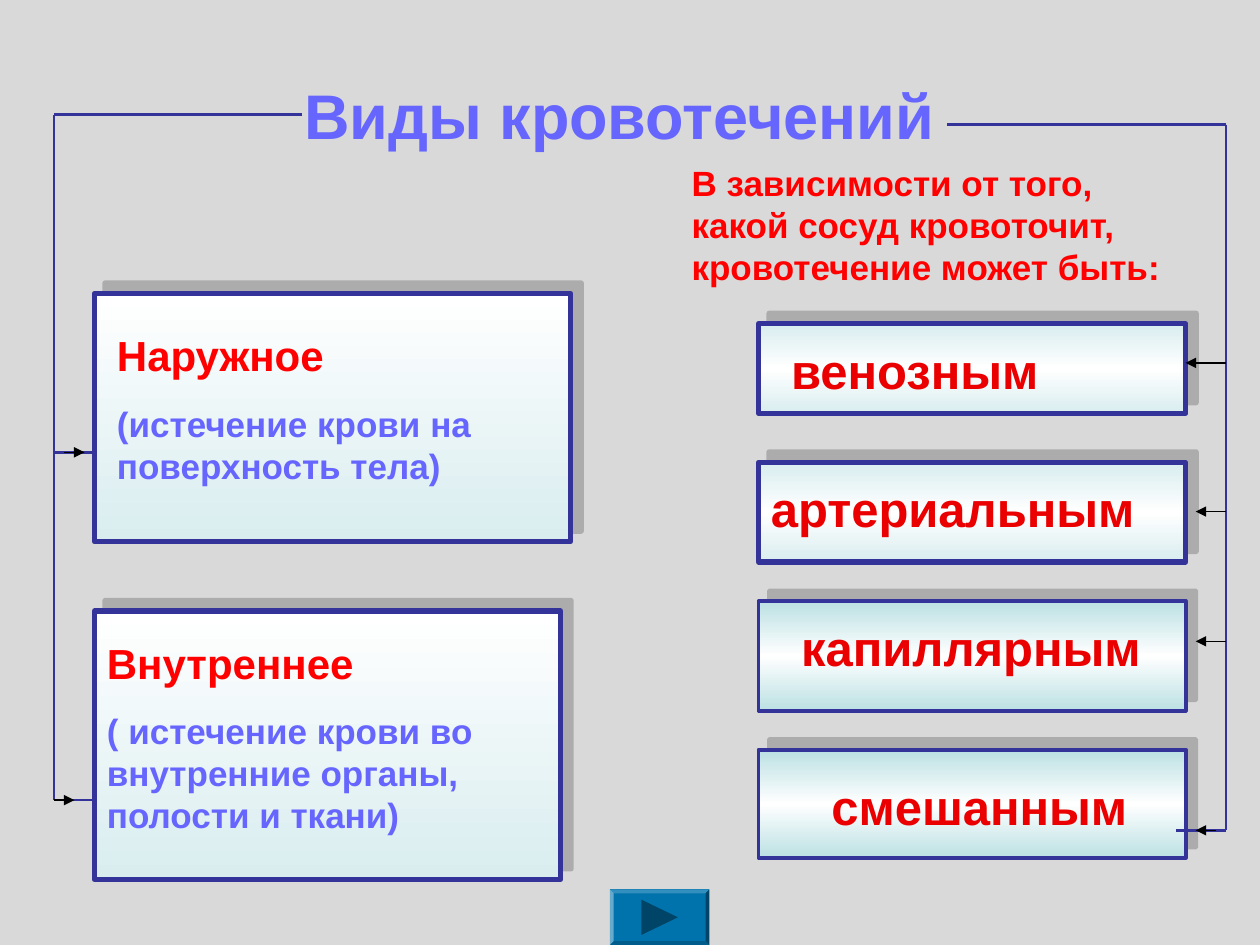
from lxml import etree
from pptx import Presentation, util as u
from pptx.dml.color import RGBColor
from pptx.enum import shapes, text
from pptx.oxml.ns import qn

NAVY, BLUE, RED, DARK_RED = "333399", "6666FF", "FF0000", "EA0000"
PALE, TEAL, WHITE, BLACK = "D9EDEF", "BBE0E3", "FFFFFF", "000000"


def color(value):
    return RGBColor.from_string(value)


def add_xml(parent, tag, **attributes):
    return etree.SubElement(parent, qn(tag), attributes)


class SlideBuilder:
    font = "Arial"

    def __init__(self, slide):
        self.slide = slide

    def background(self, fill):
        self.slide.background.fill.solid()
        self.slide.background.fill.fore_color.rgb = color(fill)

    def text(self, place, lines, align=text.PP_ALIGN.LEFT, anchor=text.MSO_ANCHOR.TOP):
        """Add a bold text box; each line is (wording, size, colour, space before)."""
        box = self.slide.shapes.add_textbox(*map(u.Inches, place))
        frame = box.text_frame
        frame.word_wrap = True
        frame.vertical_anchor = anchor
        for index, (wording, size, fill, before) in enumerate(lines):
            paragraph = frame.add_paragraph() if index else frame.paragraphs[0]
            paragraph.text = wording
            paragraph.alignment = align
            paragraph.space_before = u.Pt(before)
            font = paragraph.font
            font.name, font.size, font.bold = self.font, u.Pt(size), True
            font.color.rgb = color(fill)

    def panel(self, place, gradient, width):
        """Add a rectangle with an even vertical gradient and an offset shadow."""
        shape = self.slide.shapes.add_shape(
            shapes.MSO_SHAPE.RECTANGLE, *map(u.Inches, place))
        shape.fill.gradient()
        shape.fill.gradient_angle = 270
        properties = shape._element.spPr
        stops = properties.find(qn("a:gradFill")).find(qn("a:gsLst"))
        for stop in list(stops):
            stops.remove(stop)
        for index, value in enumerate(gradient):
            position = index * 100000 // (len(gradient) - 1)
            stop = add_xml(stops, "a:gs", pos=str(position))
            add_xml(stop, "a:srgbClr", val=value)
        shape.line.color.rgb = color(NAVY)
        shape.line.width = u.Pt(width)
        shape.shadow.inherit = False
        shadow = add_xml(properties.find(qn("a:effectLst")), "a:outerShdw",
                         dist=str(u.Pt(8.5)), dir="18900000", algn="ctr", rotWithShape="0")
        shade = add_xml(shadow, "a:srgbClr", val="808080")
        add_xml(shade, "a:alpha", val="50000")

    def line(self, start, end, stroke=NAVY, width=1.5, arrow=False):
        connector = self.slide.shapes.add_connector(
            shapes.MSO_CONNECTOR.STRAIGHT, *map(u.Inches, (*start, *end)))
        connector.line.color.rgb = color(stroke)
        connector.line.width = u.Pt(width)
        if arrow:
            add_xml(connector.line._get_or_add_ln(), "a:tailEnd", type="triangle")
        add_xml(connector._element.spPr, "a:effectLst")

    def arrow(self, start, end):
        self.line(start, end, BLACK, 0.75, True)

    def polygon(self, points, fill):
        corners = [tuple(map(u.Inches, point)) for point in points]
        builder = self.slide.shapes.build_freeform(*corners[0])
        builder.add_line_segments(corners[1:], close=True)
        shape = builder.convert_to_shape()
        shape.fill.solid()
        shape.fill.fore_color.rgb = color(fill)
        shape.line.fill.background()
        shape.shadow.inherit = False

    def next_button(self, left, top, right, bottom, bevel=0.03):
        outer = [(left, top), (right, top), (right, bottom), (left, bottom)]
        inner = [(left + bevel, top + bevel), (right - bevel, top + bevel),
                 (right - bevel, bottom - bevel), (left + bevel, bottom - bevel)]
        self.polygon(outer, "0073AC")
        for side, fill in enumerate(("338FBD", "004567", "005C8A", "66ABCD")):
            following = (side + 1) % 4
            self.polygon([outer[side], outer[following], inner[following], inner[side]], fill)
        self.polygon([(5.09, 7.14), (5.38, 7.28), (5.09, 7.42)], "004567")


def main():
    presentation = Presentation()
    presentation.slide_width, presentation.slide_height = u.Inches(10), u.Inches(7.5)
    builder = SlideBuilder(presentation.slides.add_slide(presentation.slide_layouts[6]))
    builder.background("D9D9D9")
    builder.text((2.24, 0.28, 5.35, 1.25), [("Виды кровотечений", 36, BLUE, 0)],
                 text.PP_ALIGN.CENTER, text.MSO_ANCHOR.MIDDLE)

    kinds = [
        ((0.75, 2.33, 3.78, 1.97), (0.83, 2.57, 3.7, 1.34),
         "Наружное", "(истечение крови на поверхность тела)"),
        ((0.75, 4.85, 3.7, 2.13), (0.75, 5.01, 3.62, 1.68),
         "Внутреннее", "( истечение крови во внутренние органы, полости и ткани)"),
    ]
    for panel, place, name, meaning in kinds:
        builder.panel(panel, (WHITE, PALE), 3)
        builder.text(place, [(name, 24, RED, 15), (meaning, 20, BLUE, 12.5)])

    builder.text((5.39, 1.23, 4.17, 1.1), [
        ("В зависимости от того, какой сосуд кровоточит, кровотечение может быть:",
         20, RED, 12.5)])

    vessels = [
        ("венозным", 2.57, 0.71, PALE, 3, (6.18, 2.65, 2.99)),
        ("артериальным", 3.67, 0.79, PALE, 3, (6.02, 3.75, 3.23)),
        ("капиллярным", 4.77, 0.87, TEAL, 2.25, (6.26, 4.85, 3.15)),
        ("смешанным", 5.95, 0.86, TEAL, 2.25, (6.5, 6.11, 2.68)),
    ]
    for name, top, height, edge, width, place in vessels:
        builder.panel((6.02, top, 3.39, height), (edge, WHITE, edge), width)
        builder.text((*place, 0.57), [(name, 28, DARK_RED, 17.5)])

    left, right = 0.43, 9.73
    left_top, right_top = 0.91, 0.99
    outer_y, inner_y, mixed_y = 3.59, 6.35, 6.59
    builder.line((2.4, left_top), (left, left_top))
    builder.line((left, left_top), (left, inner_y))
    builder.line((7.52, right_top), (right, right_top))
    builder.line((right, right_top), (right, mixed_y))
    builder.line((right, mixed_y), (9.33, mixed_y))
    for y, start in ((outer_y, 0.51), (inner_y, left)):
        builder.line((left, y), (0.75, y))
        builder.arrow((start, y), (start + 0.16, y))
    for y, start, end in ((2.88, right, 9.41), (4.06, right, 9.49),
                          (5.09, right, 9.49), (mixed_y, 9.65, 9.49)):
        builder.arrow((start, y), (end, y))

    builder.next_button(4.84, 7.06, 5.63, 7.5)
    presentation.save("out.pptx")


if __name__ == "__main__":
    main()
